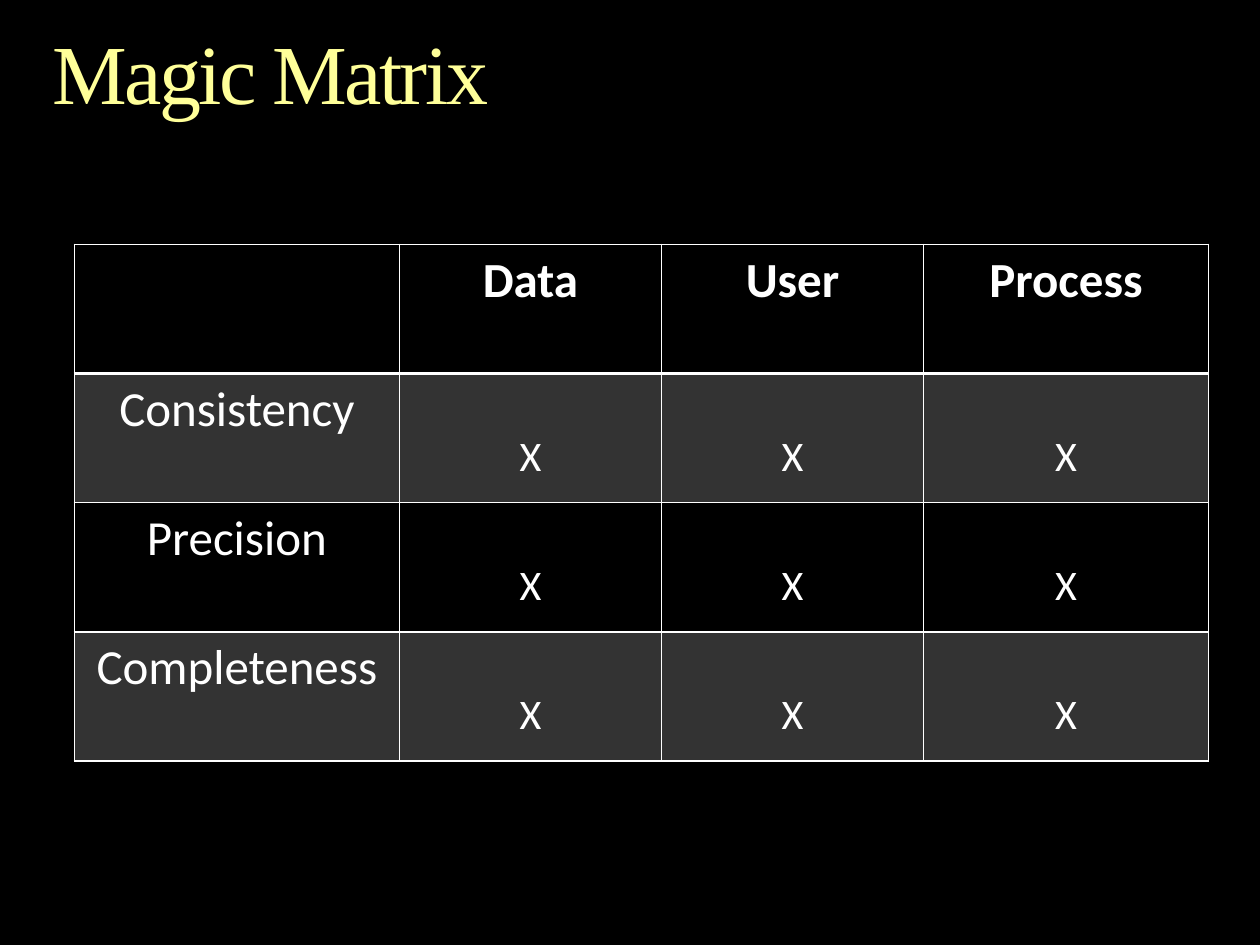
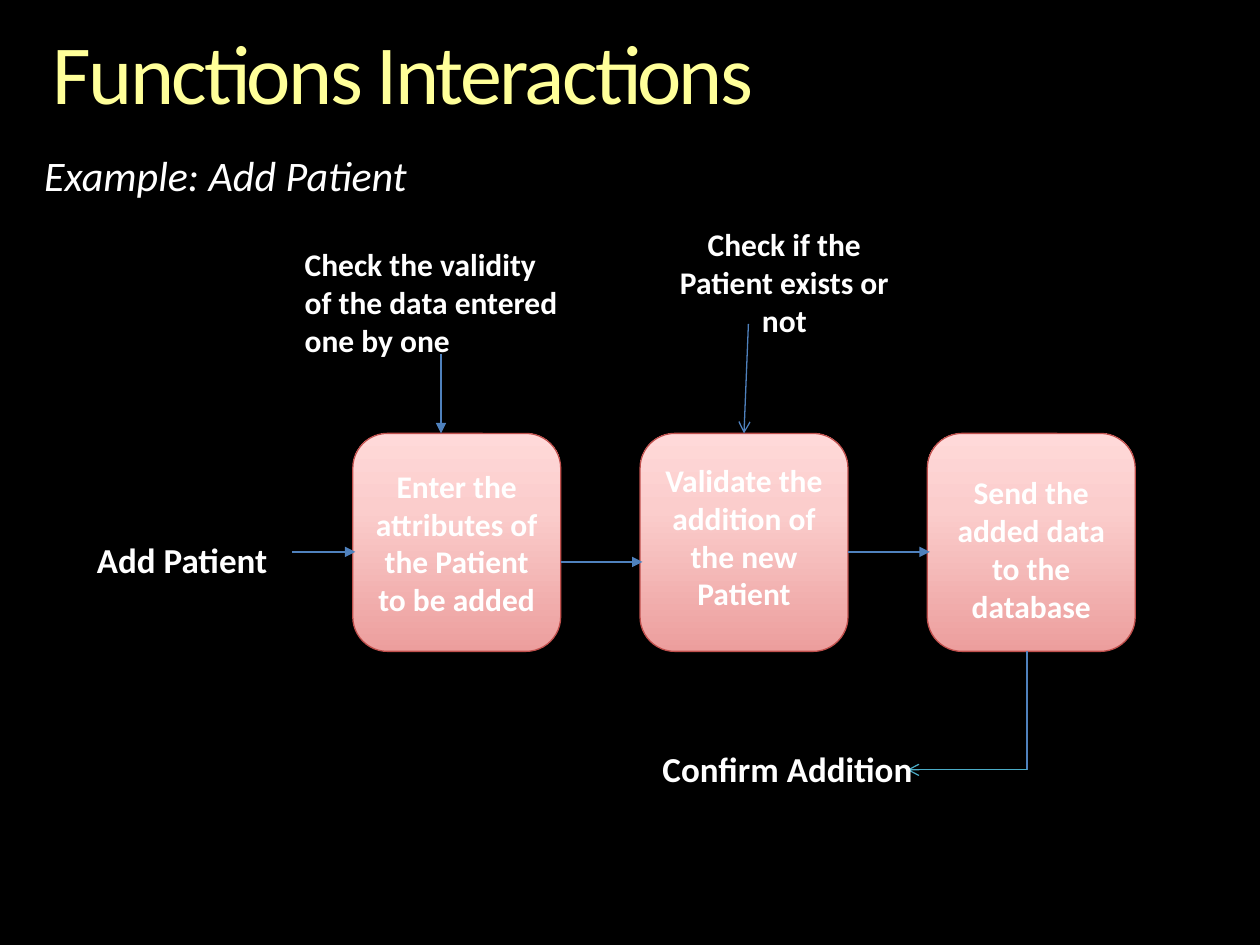
import copy

import pptx
import pptx.dml.color
import pptx.enum.dml
import pptx.enum.shapes
import pptx.enum.text
import pptx.oxml
import pptx.oxml.ns
import pptx.util

prs = pptx.Presentation()
prs.slide_width = pptx.util.Inches(10)
prs.slide_height = pptx.util.Inches(7.5)

# Grid: 100 columns by 75 rows
COL = prs.slide_width / 100
ROW = prs.slide_height / 75

BLACK, WHITE, YELLOW, GREY = "000000", "FFFFFF", "FFFF99", "333333"
BLUE, TEAL, RED = "4F81BD", "4BACC6", "C0504D"
PINKS = [(0, "EC9E9D"), (0.65, "FBCDCC"), (1, "FFD9D9")]
CENTER = pptx.enum.text.PP_ALIGN.CENTER
LEFT = pptx.enum.text.PP_ALIGN.LEFT
TOP = pptx.enum.text.MSO_ANCHOR.TOP
MIDDLE = pptx.enum.text.MSO_ANCHOR.MIDDLE
A = pptx.oxml.ns.nsdecls("a")


def rgb(color):
    return pptx.dml.color.RGBColor.from_string(color)


def write(tf, text, size, font="Calibri", color=WHITE, bold=False, align=LEFT):
    p = tf.paragraphs[0]
    p.alignment = align
    r = p.add_run()
    r.text = text
    r.font.size = pptx.util.Pt(size)
    r.font.name = font
    r.font.bold = bold
    r.font.color.rgb = rgb(color)
    return p, r


# Shared background
fill = prs.slide_master.background.fill
fill.solid()
fill.fore_color.rgb = rgb(BLACK)

# Slides with their titles; layout 5 is title only, layout 1 has a body
slides = []
for layout, title, font in [(5, "Magic Matrix", "Times New Roman"),
                            (1, "Functions Interactions", "Calibri")]:
    slide = prs.slides.add_slide(prs.slide_layouts[layout])
    slides.append(slide)
    sp = slide.shapes.title
    sp.left, sp.top = round(4.2 * COL), round(2.5 * ROW)
    sp.width, sp.height = round(91.7 * COL), round(7.3 * ROW)
    tf = sp.text_frame
    tf.margin_left = tf.margin_right = tf.margin_top = tf.margin_bottom = 0
    tf.vertical_anchor = TOP
    tf.auto_size = pptx.enum.text.MSO_AUTO_SIZE.NONE
    p, r = write(tf, title, 48, font, YELLOW)
    p.line_spacing = 0.9
    r.font._element.set("spc", "-150")
matrix, flow = slides

# Matrix table
HEADS = ["", "Data", "User", "Process"]
QUALITIES = ["Consistency", "Precision", "Completeness"]
rows = [HEADS] + [[quality, "X", "X", "X"] for quality in QUALITIES]
table = matrix.shapes.add_table(
    len(rows), len(HEADS), round(5.9 * COL), round(19.4 * ROW),
    round(90 * COL), round(41 * ROW)).table
for column, width in zip(table.columns, [25.8, 20.8, 20.8, 22.6]):
    column.width = round(width * COL)
for i, texts in enumerate(rows):
    table.rows[i].height = round(10.25 * ROW)
    for j, text in enumerate(texts):
        cell = table.cell(i, j)
        tcPr = cell._tc.get_or_add_tcPr()
        for side in "LRTB":
            heavy = (i, side) in [(0, "B"), (1, "T")]
            width = pptx.util.Pt(2 if heavy else 1)
            tcPr.append(pptx.oxml.parse_xml(
                f'<a:ln{side} {A} w="{width}"><a:solidFill>'
                f'<a:srgbClr val="{WHITE}"/></a:solidFill></a:ln{side}>'))
        cell.fill.solid()
        cell.fill.fore_color.rgb = rgb(GREY if i % 2 else BLACK)
        mark = text == "X"
        if mark:
            cell.margin_top = round(4.6 * ROW)
        if text:
            write(cell.text_frame, text, 24 if mark else 28,
                  bold=i == 0, align=CENTER)

# Example line in the body placeholder
sp = flow.placeholders[1]
sp.left, sp.top = round(3.5 * COL), round(12.3 * ROW)
sp.width, sp.height = round(91.7 * COL), round(3.6 * ROW)
tf = sp.text_frame
tf.margin_left = tf.margin_right = tf.margin_top = tf.margin_bottom = 0
p, r = write(tf, "Example: Add Patient", 24)
r.font.italic = True
p.line_spacing = 0.9
p.space_before = pptx.util.Pt(4.8)
pPr = p._p.get_or_add_pPr()
pPr.set("marL", str(round(4.3 * COL)))
pPr.set("indent", str(round(-4.3 * COL)))
pPr.append(pptx.oxml.parse_xml(f"<a:buNone {A}/>"))

# Process boxes: text, top inset, bottom inset
STEPS = [("Enter the attributes of the Patient to be added", 0.5, 0.5),
         ("Validate the addition of the new Patient", 0.5, 1.4),
         ("Send the added data to the database", 1.5, 0.5)]
boxes = []
for i, (text, inset_top, inset_bottom) in enumerate(STEPS):
    sp = flow.shapes.add_shape(
        pptx.enum.shapes.MSO_SHAPE.ROUNDED_RECTANGLE,
        round((28 + 22.8 * i) * COL), round(34.4 * ROW),
        round(16.5 * COL), round(17.3 * ROW))
    sp.shadow.inherit = False
    sp.fill.gradient()
    sp.fill.gradient_angle = 90
    gsLst = sp._element.spPr.find(".//" + pptx.oxml.ns.qn("a:gsLst"))
    gsLst.append(copy.deepcopy(gsLst[0]))
    for stop, (position, color) in zip(sp.fill.gradient_stops, PINKS):
        stop.position = position
        stop.color.rgb = rgb(color)
    sp.line.color.rgb = rgb(RED)
    sp.line.width = pptx.util.Pt(0.75)
    tf = sp.text_frame
    tf.word_wrap = True
    tf.vertical_anchor = MIDDLE
    tf.margin_top, tf.margin_bottom = round(inset_top * ROW), round(inset_bottom * ROW)
    write(tf, text, 18, bold=True, align=CENTER)
    boxes.append(sp)

# Arrows and lines: start, end, colour, arrowhead
LINES = [((81.5, 51.7), (81.5, 61.1), BLUE, None),
         ((81.5, 61.1), (72, 61.1), TEAL, "arrow"),
         ((59.4, 25.7), (59.1, 34.4), BLUE, "arrow"),
         ((23.2, 43.8), (28.2, 43.8), BLUE, "triangle"),
         ((35, 28.1), (35, 34.4), BLUE, "triangle"),
         ((44.5, 44.6), (51, 44.6), BLUE, "triangle"),
         ((67.3, 43.8), (73.8, 43.8), BLUE, "triangle")]
for (x1, y1), (x2, y2), color, head in LINES:
    line = flow.shapes.add_connector(
        pptx.enum.shapes.MSO_CONNECTOR.STRAIGHT,
        round(x1 * COL), round(y1 * ROW), round(x2 * COL), round(y2 * ROW))
    line.line.color.rgb = rgb(color)
    line.line.width = pptx.util.Pt(0.75)
    if head:
        line.line._get_or_add_ln().append(
            pptx.oxml.parse_xml(f'<a:tailEnd {A} type="{head}"/>'))
    line._element.spPr.append(pptx.oxml.parse_xml(f"<a:effectLst {A}/>"))
    if (x2, y2) == (59.1, 34.4):
        line.end_connect(boxes[1], 0)

# Labels: text, left, top, width, height, size, alignment
LABELS = [
    ("Confirm Addition", 51.6, 58.8, 23, 4.4, 20, LEFT),
    ("Add Patient", 6.7, 42.2, 23, 4.4, 20, LEFT),
    ("Check the validity of the data entered one by one",
     23.2, 18.9, 23, 10.1, 18, LEFT),
    ("Check if the Patient exists or not",
     52.4, 17.3, 19.7, 10.1, 18, CENTER)]
for text, x, y, w, h, size, align in LABELS:
    sp = flow.shapes.add_textbox(round(x * COL), round(y * ROW),
                                 round(w * COL), round(h * ROW))
    tf = sp.text_frame
    tf.word_wrap = True
    tf.vertical_anchor = MIDDLE
    write(tf, text, size, bold=True, align=align)

prs.save("out.pptx")
